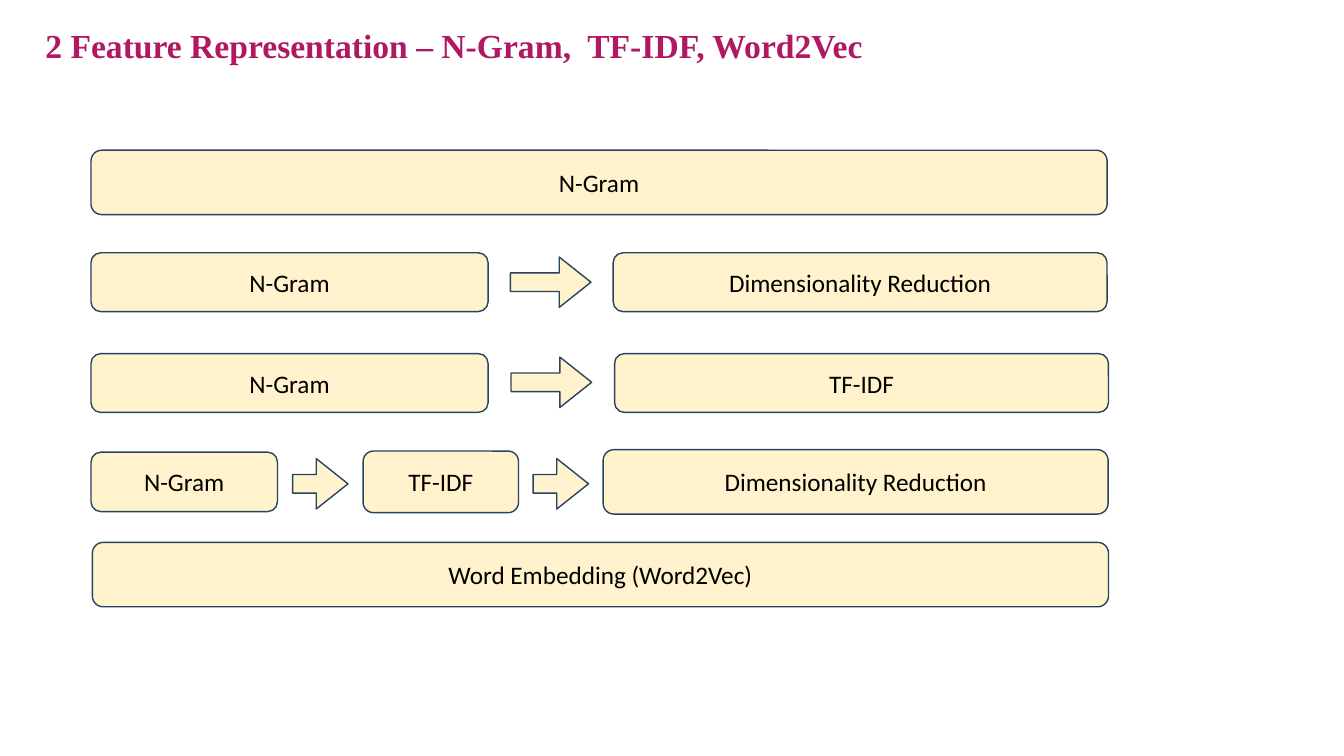
"""Slide of feature representation pipelines, one per row."""
from dataclasses import dataclass
from itertools import pairwise
from pptx import Presentation
from pptx.dml.color import RGBColor as RGB
from pptx.enum.shapes import MSO_SHAPE as Shape
from pptx.enum.text import MSO_ANCHOR as Anchor, MSO_AUTO_SIZE as Fit, PP_ALIGN as Align
from pptx.util import Pt


@dataclass(frozen=True)
class Theme:
    """Colours, fonts and type sizes of the slide."""
    title: RGB = RGB(0xB0, 0x18, 0x61)
    fill: RGB = RGB(0xFF, 0xF2, 0xCC)
    line: RGB = RGB(0x28, 0x44, 0x5D)
    ink: RGB = RGB(0, 0, 0)
    serif: str = "Times New Roman"
    sans: str = "Calibri"
    head: int = 24
    body: int = 18


THEME = Theme()


def write(para, text, font, size, color, bold=False):
    """Add one run to a paragraph."""
    run = para.add_run()
    run.text = text
    run.font.name, run.font.size, run.font.bold = font, Pt(size), bold
    run.font.color.rgb = color


def block(slide, kind, left, mid, width, height):
    """Draw a filled shape centred on the height mid."""
    shape = slide.shapes.add_shape(
        kind, Pt(left), Pt(mid - height / 2), Pt(width), Pt(height))
    shape.shadow.inherit = False
    shape.fill.solid()
    shape.fill.fore_color.rgb = THEME.fill
    shape.line.color.rgb = THEME.line
    shape.line.width = Pt(1)
    return shape


def step(slide, left, mid, width, height, text):
    """Draw a rounded box with a centred label."""
    frame = block(slide, Shape.ROUNDED_RECTANGLE, left, mid, width, height).text_frame
    frame.word_wrap = True
    frame.vertical_anchor = Anchor.MIDDLE
    para = frame.paragraphs[0]
    para.alignment = Align.CENTER
    write(para, text, THEME.sans, THEME.body, THEME.ink)


def arrow(slide, center, mid, width):
    """Draw a right arrow around a centre point."""
    shape = block(slide, Shape.RIGHT_ARROW, center - width / 2, mid, width, 36)
    shape.adjustments[0], shape.adjustments[1] = 0.37, 0.63


def flow(slide, left, mid, steps, span=0, drop=0):
    """Draw a row of steps with an arrow centred in each gap."""
    for x, width, height, text in steps:
        step(slide, left + x, mid, width, height, text)
    for (x, width, *_), (after, *_) in pairwise(steps):
        arrow(slide, left + (x + width + after) / 2, mid + drop, span)


def title(slide, left, top, width, height, text):
    """Place and fill the title placeholder."""
    shape = slide.shapes.title
    shape.left, shape.top, shape.width, shape.height = map(
        Pt, (left, top, width, height))
    frame = shape.text_frame
    frame.word_wrap = True
    frame.auto_size = Fit.NONE
    frame.vertical_anchor = Anchor.TOP
    frame.margin_left = 0
    para = frame.paragraphs[0]
    para.alignment = Align.LEFT
    write(para, text, THEME.serif, THEME.head, THEME.title, True)


def main():
    """Build and save the slide."""
    deck = Presentation()
    deck.slide_width, deck.slide_height = Pt(960), Pt(540)
    slide = deck.slides.add_slide(deck.slide_layouts[5])
    title(slide, 32.4, 14.4, 726.5, 36,
          "2 Feature Representation – N-Gram,  TF-IDF, Word2Vec")
    flow(slide, 65, 130.3, [(0, 725.8, 46, "N-Gram")])
    flow(slide, 65, 201.6, [
        (0, 283.7, 42, "N-Gram"),
        (373, 352.8, 42, "Dimensionality Reduction")], 57.6)
    flow(slide, 65, 273.6, [
        (0, 283.7, 42, "N-Gram"),
        (374, 352.8, 42, "TF-IDF")], 57.6, -0.5)
    flow(slide, 65, 344.2, [
        (0, 133.2, 42.5, "N-Gram"),
        (194.4, 111, 44, "TF-IDF"),
        (365.8, 360.7, 46, "Dimensionality Reduction")], 39.6, 1.4)
    flow(slide, 66, 410.4, [(0, 725.8, 46, "Word Embedding (Word2Vec)")])
    deck.save("out.pptx")


if __name__ == "__main__":
    main()
